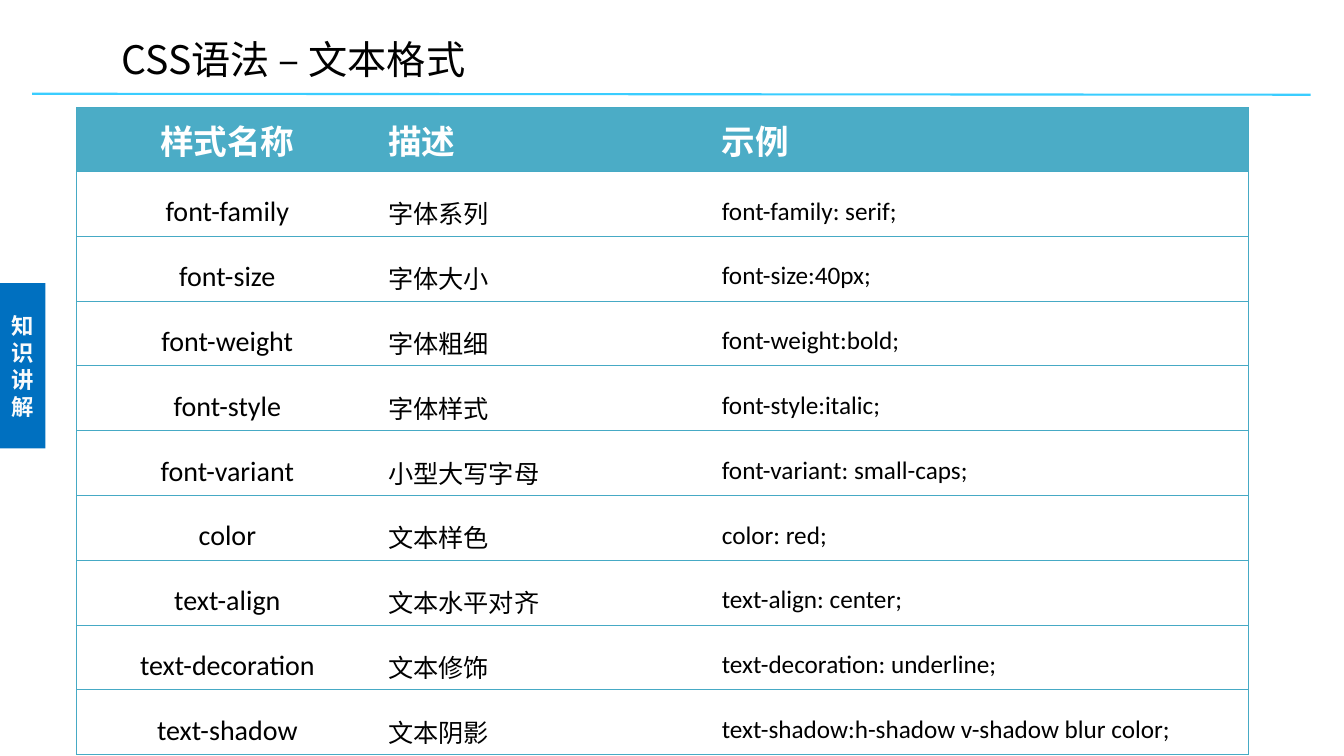
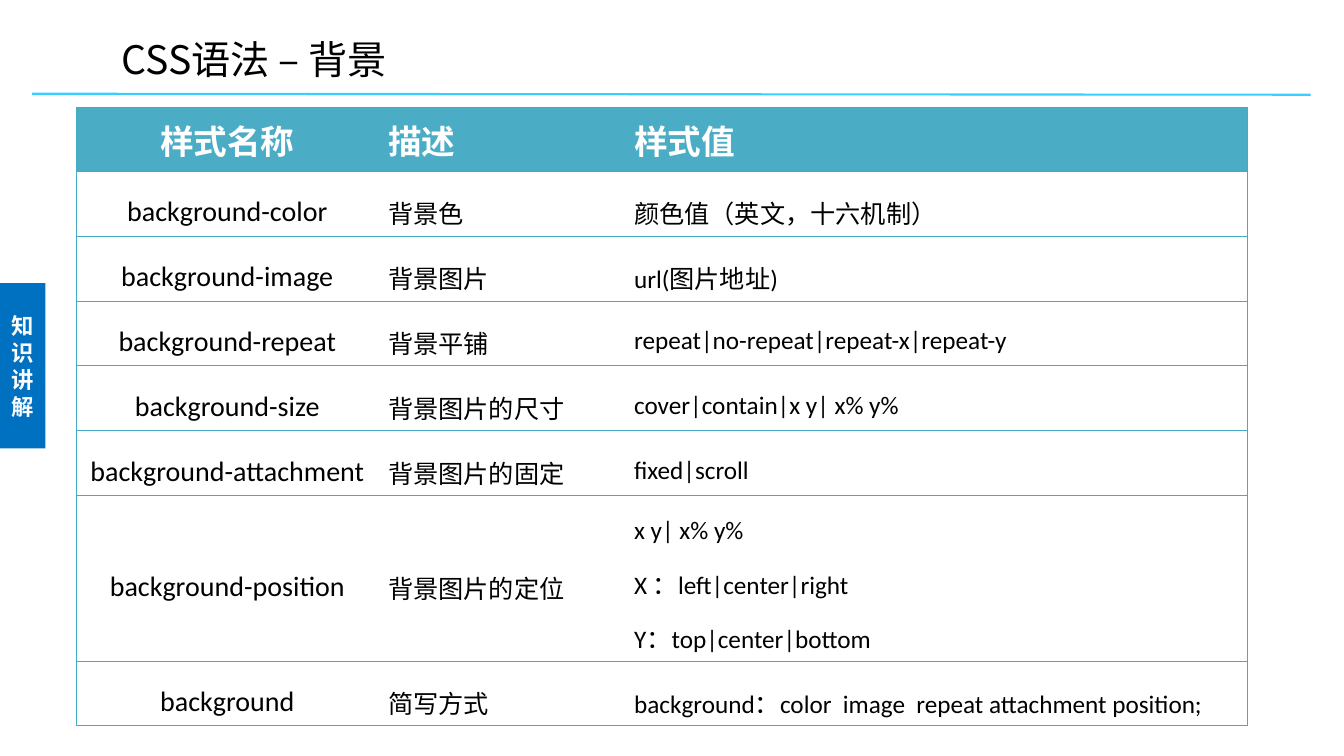
import dataclasses

import lxml.etree
import pptx
import pptx.dml.color
import pptx.enum.shapes
import pptx.enum.text
import pptx.oxml.ns
import pptx.util

Inches = pptx.util.Inches
Pt = pptx.util.Pt
qn = pptx.oxml.ns.qn
ALIGN = pptx.enum.text.PP_ALIGN
MIDDLE = pptx.enum.text.MSO_ANCHOR.MIDDLE

COLORS = {
    "tab": "0070C0",
    "tab_text": "F9FAFB",
    "rule": "3ACDFF",
    "header": "4BACC6",
    "header_text": "FFFFFF",
    "border": "46AAC5",
    "text": "000000",
}
LATIN, CJK = "Calibri", "Noto Sans CJK SC"
HEADER_HEIGHT, ROW_HEIGHT = 0.63, 0.643
EXTRA_LINE_HEIGHT = 0.5


@dataclasses.dataclass(frozen=True)
class TextStyle:
    size: int
    color: str
    font: str = LATIN
    bold: bool = False
    align: ALIGN = ALIGN.LEFT
    spacing: float = 1.0


@dataclasses.dataclass(frozen=True)
class Topic:
    title: str
    widths: tuple[float, ...]
    header: tuple[str, ...]
    rows: tuple[tuple[str, ...], ...]


TAB = TextStyle(16, "tab_text", CJK, bold=True, align=ALIGN.CENTER)
TITLE = TextStyle(28, "text", CJK, spacing=1.5)
HEADER = TextStyle(24, "header_text", bold=True)
PROPERTY = TextStyle(20, "text", align=ALIGN.CENTER, spacing=1.5)
DETAIL = TextStyle(18, "text", spacing=1.5)

TOPICS = (
    Topic(
        "CSS语法 – 文本格式",
        (2.99, 3.31, 5.32),
        ("样式名称", "描述", "示例"),
        (
            ("font-family", "字体系列", "font-family: serif;"),
            ("font-size", "字体大小", "font-size:40px;"),
            ("font-weight", "字体粗细", "font-weight:bold;"),
            ("font-style", "字体样式", "font-style:italic;"),
            ("font-variant", "小型大写字母", "font-variant: small-caps;"),
            ("color", "文本样色", "color: red;"),
            ("text-align", "文本水平对齐", "text-align: center;"),
            ("text-decoration", "文本修饰", "text-decoration: underline;"),
            ("text-shadow", "文本阴影", "text-shadow:h-shadow v-shadow blur color;"),
        ),
    ),
    Topic(
        "CSS语法 – 背景",
        (2.99, 2.44, 6.18),
        ("样式名称", "描述", "样式值"),
        (
            ("background-color", "背景色", "颜色值（英文，十六机制）"),
            ("background-image", "背景图片", "url(图片地址)"),
            ("background-repeat", "背景平铺", "repeat|no-repeat|repeat-x|repeat-y"),
            ("background-size", "背景图片的尺寸", "cover|contain|x y| x% y%"),
            ("background-attachment", "背景图片的固定", "fixed|scroll"),
            ("background-position", "背景图片的定位",
             "x y| x% y%\nX ：left|center|right\nY：top|center|bottom"),
            ("background", "简写方式",
             "background：color  image  repeat attachment position;"),
        ),
    ),
)


def rgb(name: str) -> pptx.dml.color.RGBColor:
    return pptx.dml.color.RGBColor.from_string(COLORS[name])


def write(frame, text: str, style: TextStyle) -> None:
    """Fill a text frame and format every run in it."""
    frame.text = text
    for paragraph in frame.paragraphs:
        paragraph.alignment = style.align
        paragraph.line_spacing = style.spacing
        for run in paragraph.runs:
            run.font.size = Pt(style.size)
            run.font.bold = style.bold
            run.font.name = style.font
            run.font.color.rgb = rgb(style.color)
            east_asian = lxml.etree.Element(qn("a:ea"), typeface=CJK)
            run.font._element.find(qn("a:latin")).addnext(east_asian)


def set_borders(cell, visible: dict[str, bool]) -> None:
    """Draw the visible sides and clear the others, ahead of the cell fill."""
    properties = cell._tc.get_or_add_tcPr()
    for position, (side, shown) in enumerate(visible.items()):
        line = lxml.etree.Element(qn(f"a:ln{side}"), w=str(Pt(0.75)))
        if shown:
            fill = lxml.etree.SubElement(line, qn("a:solidFill"))
            lxml.etree.SubElement(fill, qn("a:srgbClr"), val=COLORS["border"])
        else:
            lxml.etree.SubElement(line, qn("a:noFill"))
        properties.insert(position, line)


def draw_frame(slide, title: str) -> None:
    # Side tab
    tab = slide.shapes.add_shape(
        pptx.enum.shapes.MSO_SHAPE.RECTANGLE,
        Inches(0), Inches(2.81), Inches(0.45), Inches(1.64))
    tab.shadow.inherit = False
    tab.fill.solid()
    tab.fill.fore_color.rgb = rgb("tab")
    tab.line.fill.background()
    tab.text_frame.word_wrap = True
    tab.text_frame.vertical_anchor = MIDDLE
    write(tab.text_frame, "知识讲解", TAB)

    # Rule under the title
    rule = slide.shapes.add_connector(
        pptx.enum.shapes.MSO_CONNECTOR.STRAIGHT,
        Inches(13), Inches(0.94), Inches(0.32), Inches(0.93))
    rule.line.color.rgb = rgb("rule")
    rule.line.width = Pt(1.5)
    lxml.etree.SubElement(rule._element.spPr, qn("a:effectLst"))

    # Title
    heading = slide.shapes.add_textbox(
        Inches(1.11), Inches(0.08), Inches(7.4), Inches(0.78))
    heading.text_frame.word_wrap = True
    heading.text_frame.vertical_anchor = MIDDLE
    write(heading.text_frame, title, TITLE)


def draw_properties(slide, topic: Topic) -> None:
    lines = (topic.header, *topic.rows)
    heights = [HEADER_HEIGHT] + [
        ROW_HEIGHT + EXTRA_LINE_HEIGHT * row[-1].count("\n") for row in topic.rows]
    properties = slide.shapes.add_table(
        len(lines), len(topic.widths), Inches(0.76), Inches(1.07),
        Inches(sum(topic.widths)), Inches(sum(heights))).table
    properties.horz_banding = False
    for column, width in zip(properties.columns, topic.widths):
        column.width = Inches(width)

    last = len(topic.widths) - 1
    for r, (line, height) in enumerate(zip(lines, heights)):
        properties.rows[r].height = Inches(height)
        for c, text in enumerate(line):
            cell = properties.cell(r, c)
            cell.vertical_anchor = MIDDLE
            style = PROPERTY if c == 0 else DETAIL
            if r == 0:
                style = dataclasses.replace(HEADER, align=style.align)
                cell.fill.solid()
                cell.fill.fore_color.rgb = rgb("header")
            else:
                cell.fill.background()
            write(cell.text_frame, text, style)
            set_borders(cell, {"L": c == 0, "R": c == last, "T": True, "B": True})


def main() -> None:
    deck = pptx.Presentation()
    deck.slide_width, deck.slide_height = Inches(13.33), Inches(7.5)
    blank = deck.slide_layouts[6]
    for topic in TOPICS:
        slide = deck.slides.add_slide(blank)
        draw_frame(slide, topic.title)
        draw_properties(slide, topic)
    deck.save("out.pptx")


if __name__ == "__main__":
    main()
